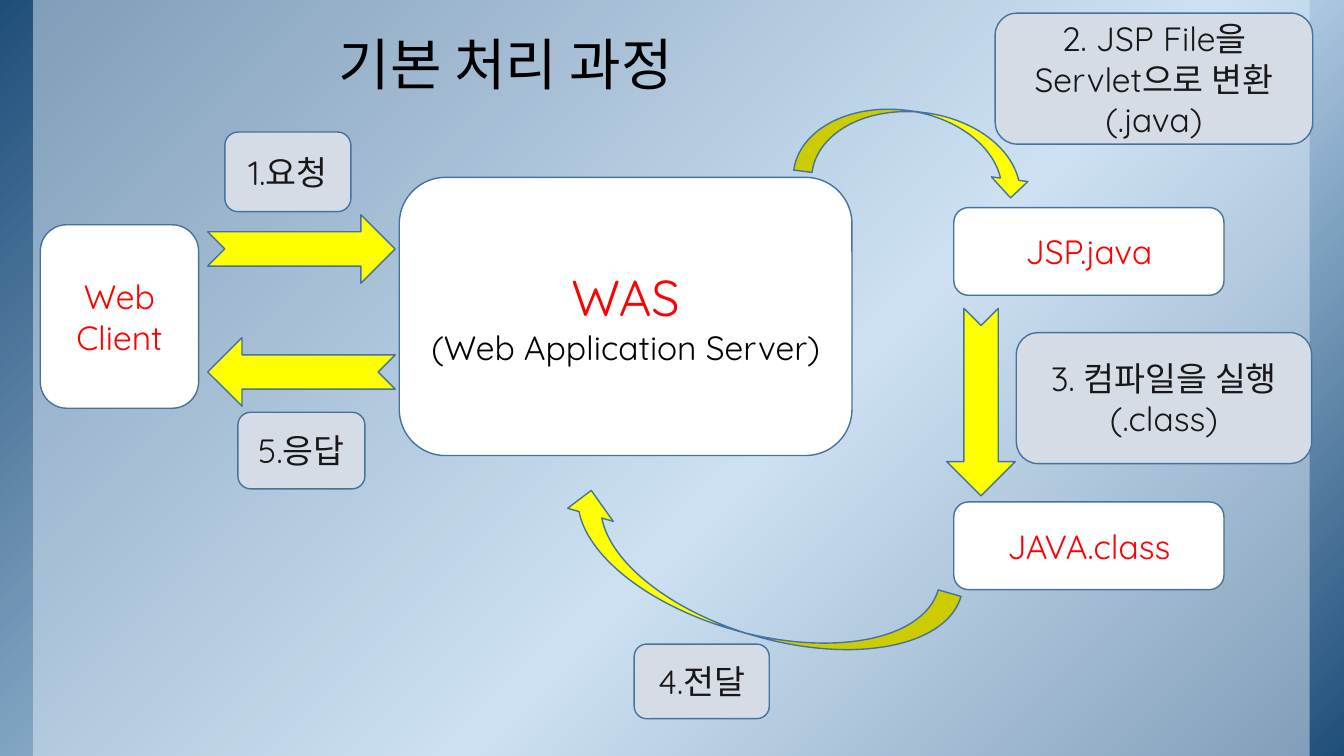
from lxml.etree import SubElement
from pptx import Presentation
from pptx.dml.color import RGBColor
from pptx.enum.shapes import MSO_SHAPE
from pptx.enum.text import MSO_ANCHOR, PP_ALIGN
from pptx.oxml import parse_xml
from pptx.oxml.ns import nsdecls, qn
from pptx.util import Inches, Pt

NAVY = RGBColor(0x1F, 0x4E, 0x79)
SKY = RGBColor(0xBD, 0xD7, 0xEE)
PALE = RGBColor(0xDE, 0xEB, 0xF7)
EDGE = RGBColor(0x43, 0x73, 0x9E)
WHITE = RGBColor(0xFF, 0xFF, 0xFF)
BLACK = RGBColor(0, 0, 0)
RED = RGBColor(0xFF, 0, 0)
YELLOW = RGBColor(0xFF, 0xFF, 0)
GREY = RGBColor(0xD6, 0xDC, 0xE5)
INK = RGBColor(0x18, 0x17, 0x17)
LATIN = "Quicksand"
HANGUL = "Noto Sans CJK KR"


def style(para, size, color, latin=LATIN):
    for run in para.runs:
        font = run.font
        font.size = Pt(size)
        font.color.rgb = color
        font.name = latin
        SubElement(font._element, qn("a:ea")).set("typeface", HANGUL)


def draw(slide, kind, box, fill, turn=0):
    shape = slide.shapes.add_shape(kind, *map(Inches, box))
    shape.shadow.inherit = False
    shape.fill.solid()
    shape.fill.fore_color.rgb = fill
    shape.line.color.rgb = EDGE
    shape.line.width = Pt(1)
    shape.rotation = turn
    return shape


def write(shape, lines):
    frame = shape.text_frame
    frame.word_wrap = True
    frame.vertical_anchor = MSO_ANCHOR.MIDDLE
    frame.text = "\n".join(text for text, size, color in lines)
    for para, (text, size, color) in zip(frame.paragraphs, lines):
        para.alignment = PP_ALIGN.CENTER
        style(para, size, color)


def node(slide, box, *lines):
    write(draw(slide, MSO_SHAPE.ROUNDED_RECTANGLE, box, WHITE), lines)


def label(slide, box, text):
    shape = draw(slide, MSO_SHAPE.FLOWCHART_ALTERNATE_PROCESS, box, GREY)
    write(shape, [(text, 24, INK)])


def arrow(slide, box, turn=0):
    draw(slide, MSO_SHAPE.NOTCHED_RIGHT_ARROW, box, YELLOW, turn)


def curve(slide, box, turn):
    draw(slide, MSO_SHAPE.CURVED_DOWN_ARROW, box, YELLOW, turn)


def backdrop(slide, box):
    x, y, w, h = box
    base = draw(slide, MSO_SHAPE.RECTANGLE, box, NAVY)
    stops = "".join(
        f'<a:gs pos="{pos}000"><a:srgbClr val="{color}"/></a:gs>'
        for pos, color in ((0, NAVY), (58, SKY), (100, NAVY)))
    grad = parse_xml(
        f'<a:gradFill {nsdecls("a")} rotWithShape="1"><a:gsLst>{stops}</a:gsLst>'
        '<a:lin ang="2700000" scaled="0"/></a:gradFill>')
    props = base.element.spPr
    props.replace(props.find(qn("a:solidFill")), grad)
    panel = draw(slide, MSO_SHAPE.RECTANGLE, (x + 0.33, y, w - 0.67, h), PALE)
    tint = panel.element.spPr.find(qn("a:solidFill"))[0]
    SubElement(tint, qn("a:alpha")).set("val", "50000")
    for shape in (base, panel):
        shape.line.fill.background()


def heading(slide, box):
    title = slide.shapes.title
    title.left, title.top, title.width, title.height = map(Inches, box)
    slide.shapes.element.append(title.element)
    frame = title.text_frame
    frame.text = "기본 처리 과정"
    frame.word_wrap = True
    frame.vertical_anchor = MSO_ANCHOR.BOTTOM
    frame.margin_left = Inches(3.7)
    frame.margin_right = Inches(0.13)
    frame.margin_top = frame.margin_bottom = Inches(0.07)
    para = frame.paragraphs[0]
    para.alignment = PP_ALIGN.LEFT
    para.line_spacing = 0.85
    style(para, 40, BLACK, HANGUL)


def server(slide, box):
    node(slide, box, ("WAS", 36, RED), ("(Web Application Server)", 24, BLACK))


def client(slide, box):
    x, y, w, h = box
    node(slide, (x, y + 0.92, 1.57, 1.82),
         ("Web", 24, RED), ("Client", 24, RED))
    for top, turn in ((0.82, 0), (2.04, 180)):
        arrow(slide, (x + w - 1.86, y + top, 1.86, 0.68), turn)
    label(slide, (x + 1.83, y, 1.25, 0.79), "1.요청")
    label(slide, (x + 1.96, y + h - 0.76, 1.26, 0.76), "5.응답")


def build(slide, box):
    x, y, w, h = box
    for top, name in ((0, "JSP.java"), (h - 0.87, "JAVA.class")):
        node(slide, (x, y + top, 2.68, 0.87), (name, 24, RED))
    arrow(slide, (x - 0.66, y + 1.59, 1.86, 0.68), 90)
    label(slide, (x + w - 2.93, y + 1.24, 2.93, 1.3), "3. 컴파일을 실행 (.class)")


def convert(slide, box):
    x, y, w, h = box
    curve(slide, (x, y + 0.98, 2.35, 0.73), 7.3)
    label(slide, (x + w - 3.15, y, 3.15, 1.3),
          "2. JSP File을 Servlet으로 변환(.java)")


def deliver(slide, box):
    x, y, w, h = box
    curve(slide, (x, y, w, 0.94), 196)
    label(slide, (x + 0.86, y + h - 0.74, 1.34, 0.74), "4.전달")


def main():
    deck = Presentation()
    deck.slide_width, deck.slide_height = Inches(13.33), Inches(7.5)
    slide = deck.slides.add_slide(deck.slide_layouts[5])
    backdrop(slide, (0, 0, 13.33, 7.5))
    heading(slide, (-0.34, 0.2, 11.11, 0.83))
    server(slide, (3.96, 1.76, 4.49, 2.76))
    client(slide, (0.4, 1.31, 3.52, 3.54))
    build(slide, (9.46, 2.06, 3.55, 3.79))
    convert(slide, (7.91, 0.13, 5.11, 1.71))
    deliver(slide, (5.43, 5.34, 4.05, 1.79))
    deck.save("out.pptx")


if __name__ == "__main__":
    main()
